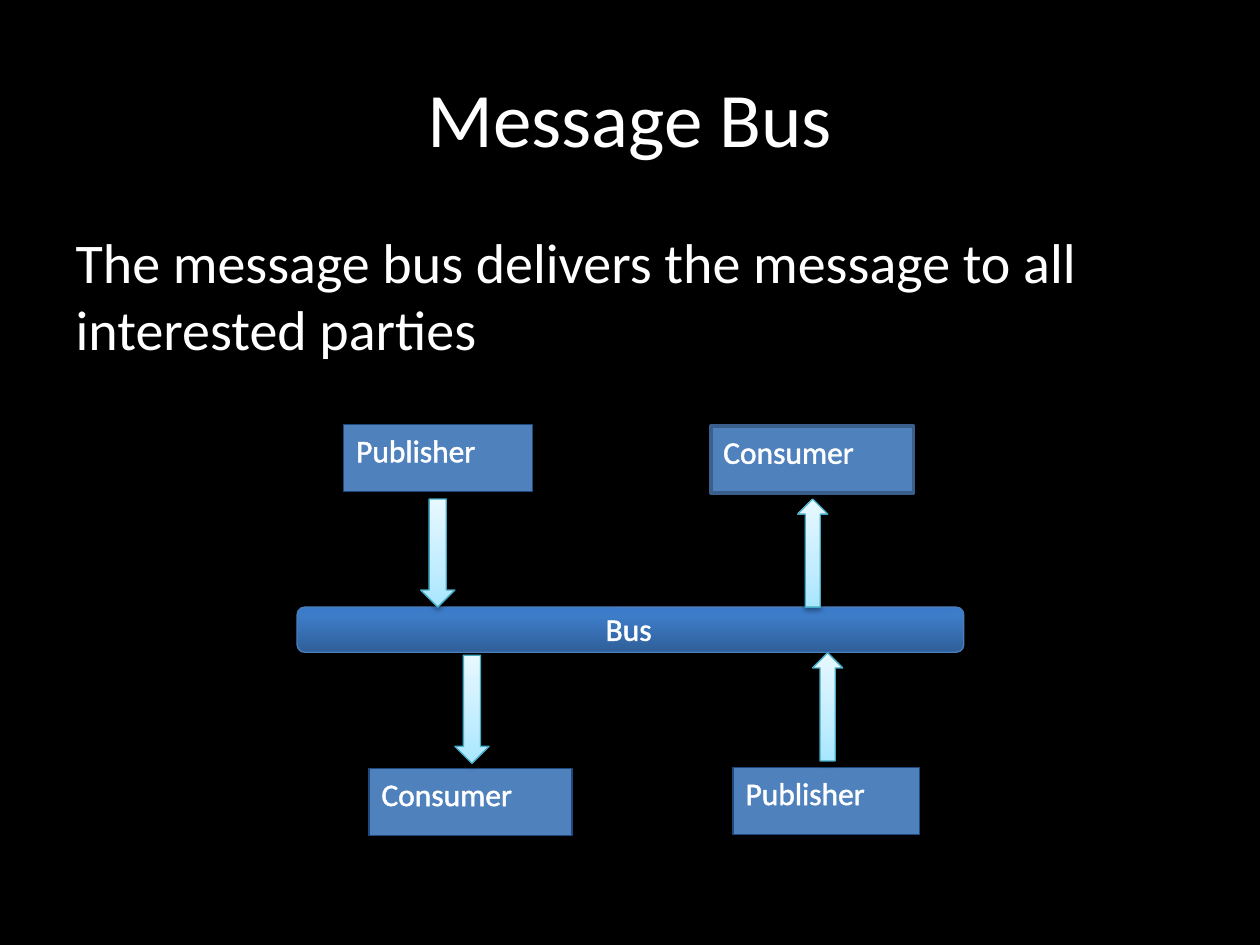
from dataclasses import dataclass

from lxml.etree import SubElement
from pptx import Presentation
from pptx.dml.color import RGBColor
from pptx.enum.shapes import MSO_SHAPE
from pptx.enum.text import MSO_ANCHOR, PP_ALIGN
from pptx.oxml import parse_xml
from pptx.oxml.ns import nsdecls, qn
from pptx.util import Cm, Length, Pt

COLORS = {
    "background": "000000", "text": "FFFFFF",
    "box": "4F81BD", "box_line": "1F497D", "strong_line": "3A5F8C",
    "bus_line": "4B7EBC", "arrow_line": "46AAC5",
}
BUS_STOPS = ((0, "2F5F99"), (80, "3D7CC7"), (100, "3A7CCB"))
ARROW_STOPS = ((0, "A7E6FF"), (35, "C1EDFF"), (100, "E7F8FF"))
BOX_HEIGHT, ARROW_HEIGHT = 1.35, 2.18


@dataclass
class Box:
    label: str
    left: float
    top: float
    width: float
    line: str = "box_line"
    line_width: float = 0.75


@dataclass
class Arrow:
    kind: MSO_SHAPE
    left: float
    top: float
    width: float


BOXES = [
    Box("Consumer", 7.44, 15.49, 4.09),
    Box("Publisher", 6.93, 8.56, 3.81),
    Box("Consumer", 14.33, 8.59, 4.09, "strong_line", 2),
    Box("Publisher", 14.78, 15.47, 3.76),
]
ARROWS = [
    Arrow(MSO_SHAPE.DOWN_ARROW, 8.48, 10.06, 0.69),
    Arrow(MSO_SHAPE.DOWN_ARROW, 9.17, 13.21, 0.69),
    Arrow(MSO_SHAPE.UP_ARROW, 16.08, 10.06, 0.61),
    Arrow(MSO_SHAPE.UP_ARROW, 16.38, 13.16, 0.61),
]


def rgb(name: str) -> RGBColor:
    return RGBColor.from_string(COLORS[name])


def lengths(*values: float) -> list[Length]:
    return [Cm(v) for v in values]


def place(sp, left: float, top: float, width: float, height: float) -> None:
    sp.left, sp.top, sp.width, sp.height = lengths(left, top, width, height)


def write(sp, text: str, size: float = 18, align=PP_ALIGN.LEFT,
          anchor=MSO_ANCHOR.TOP, outline: float = 0):
    tf = sp.text_frame
    tf.word_wrap = True
    tf.vertical_anchor = anchor
    p = tf.paragraphs[0]
    p.alignment = align
    r = p.add_run()
    r.text = text
    r.font.size, r.font.name = Pt(size), "Calibri"
    r.font.color.rgb = rgb("text")
    if outline:
        r.font._element.insert(0, parse_xml(
            f'<a:ln {nsdecls("a")} w="{Pt(outline)}"><a:solidFill>'
            f'<a:srgbClr val="{COLORS["text"]}"/></a:solidFill></a:ln>'))
    return p


def add_shape(s, kind, bounds: tuple, line: str, line_width: float = 0.75):
    sp = s.shapes.add_shape(kind, *lengths(*bounds))
    sp.shadow.inherit = False
    sp.line.color.rgb = rgb(line)
    sp.line.width = Pt(line_width)
    return sp


def add_glossy(s, kind, bounds: tuple, line: str, stops: tuple,
               alpha: int, distance: float):
    """Add a shape with an upward gradient and a soft shadow below."""
    sp = add_shape(s, kind, bounds, line)
    sp.fill.gradient()
    sp.fill.gradient_angle = 90
    gs_list = sp._element.spPr.find(qn("a:gradFill")).find(qn("a:gsLst"))
    for old in list(gs_list):
        gs_list.remove(old)
    for position, color in stops:
        gs = SubElement(gs_list, qn("a:gs"), pos=str(position * 1000))
        SubElement(gs, qn("a:srgbClr"), val=color)
    effects = sp._element.spPr.find(qn("a:effectLst"))
    effects.append(parse_xml(
        f'<a:outerShdw {nsdecls("a")} blurRad="{Pt(3.1)}" '
        f'dist="{Pt(distance)}" dir="5400000" rotWithShape="0">'
        f'<a:srgbClr val="000000"><a:alpha val="{alpha * 1000}"/>'
        f'</a:srgbClr></a:outerShdw>'))
    return sp


prs = Presentation()
prs.slide_width, prs.slide_height = lengths(25.4, 19.05)
s = prs.slides.add_slide(prs.slide_layouts[1])
s.background.fill.solid()
s.background.fill.fore_color.rgb = rgb("background")

# Title and body
title, body = s.placeholders
place(title, 1.27, 0.76, 22.86, 3.18)
write(title, "Message Bus", size=44, align=PP_ALIGN.CENTER,
      anchor=MSO_ANCHOR.MIDDLE)
place(body, 1.27, 4.45, 22.86, 12.57)
p = write(body, "The message bus delivers the message to all interested parties",
          size=32)
pPr = p._p.get_or_add_pPr()
pPr.set("marL", "0")
pPr.set("indent", "0")
SubElement(pPr, qn("a:buNone"))

# Publishers and consumers
for box in BOXES:
    sp = add_shape(s, MSO_SHAPE.RECTANGLE,
                   (box.left, box.top, box.width, BOX_HEIGHT),
                   box.line, box.line_width)
    sp.fill.solid()
    sp.fill.fore_color.rgb = rgb("box")
    write(sp, box.label, outline=1.45)

# Bus and its label
add_glossy(s, MSO_SHAPE.ROUNDED_RECTANGLE, (5.99, 12.24, 13.44, 0.91),
           "bus_line", BUS_STOPS, alpha=35, distance=1.8)
label = s.shapes.add_textbox(*lengths(11.96, 11.99, 1.88, BOX_HEIGHT))
write(label, "Bus", anchor=MSO_ANCHOR.MIDDLE, outline=1.45)

# Message arrows
for arrow in ARROWS:
    add_glossy(s, arrow.kind, (arrow.left, arrow.top, arrow.width, ARROW_HEIGHT),
               "arrow_line", ARROW_STOPS, alpha=38, distance=1.6)

prs.save("out.pptx")
